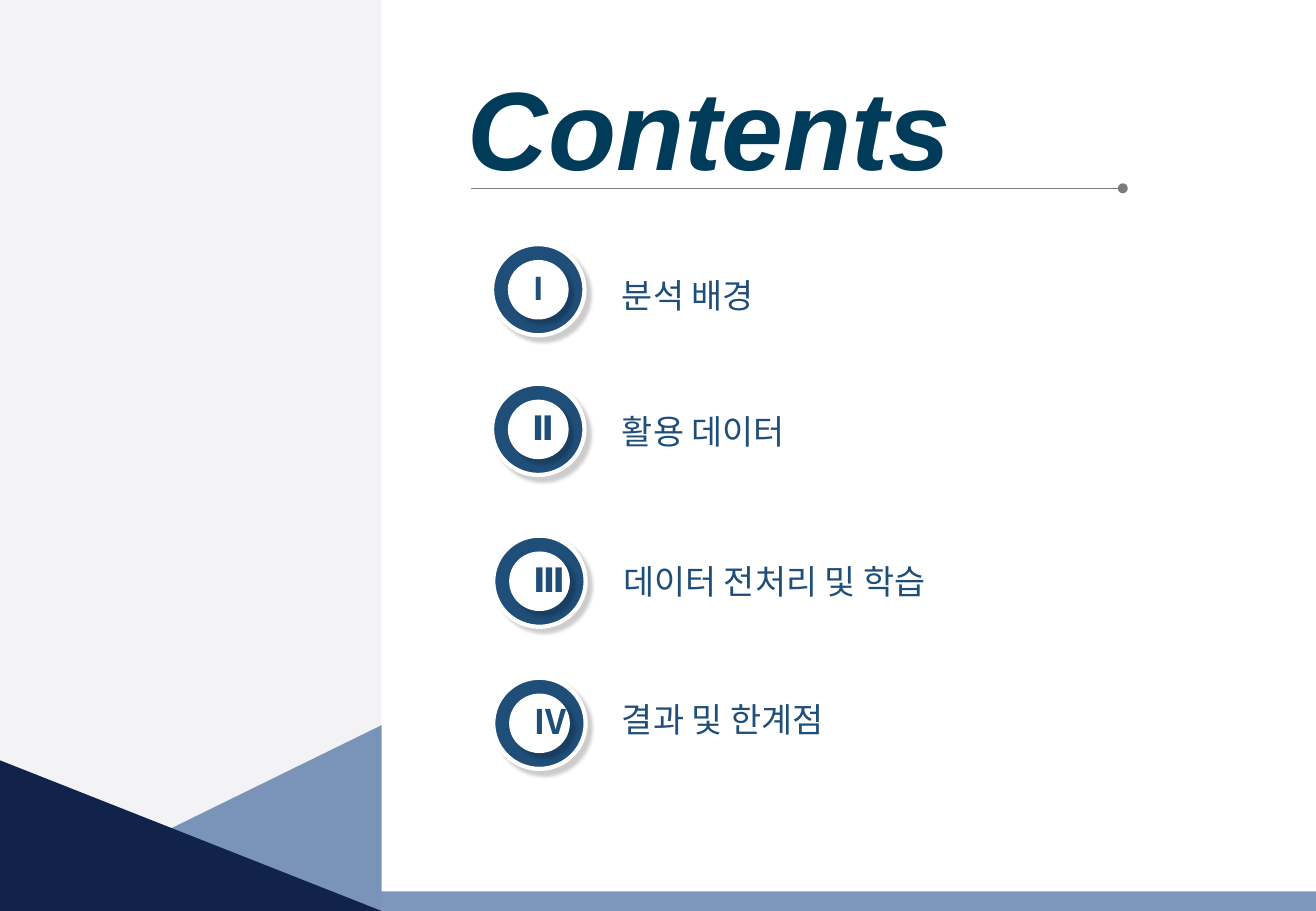
from lxml import etree
from pptx import Presentation
from pptx.dml.color import RGBColor
from pptx.enum.shapes import MSO_CONNECTOR, MSO_SHAPE
from pptx.enum.text import MSO_ANCHOR, PP_ALIGN
from pptx.oxml import parse_xml
from pptx.oxml.ns import nsdecls, qn
from pptx.util import Pt

RECTANGLE = MSO_SHAPE.RECTANGLE
TRIANGLE = MSO_SHAPE.RIGHT_TRIANGLE
OVAL = MSO_SHAPE.OVAL
STRAIGHT = MSO_CONNECTOR.STRAIGHT
LEFT, CENTER = PP_ALIGN.LEFT, PP_ALIGN.CENTER
TOP, MIDDLE = MSO_ANCHOR.TOP, MSO_ANCHOR.MIDDLE

PX = 9144
NAVY = "1F4E79"
WHITE = "FFFFFF"
color = RGBColor.from_string

deck = Presentation()
deck.slide_width, deck.slide_height = 1083 * PX, 750 * PX
page = deck.slides.add_slide(deck.slide_layouts[6])


def add_block(kind, left, top, width, height, fill):
    block = page.shapes.add_shape(kind, left * PX, top * PX, width * PX, height * PX)
    block.shadow.inherit = False
    block.fill.solid()
    block.fill.fore_color.rgb = color(fill)
    block.line.fill.background()
    return block


def add_text(text, left, top, width, height, size=20, ink=NAVY, font="Arial",
             bold=False, italic=False, align=LEFT, anchor=TOP, inset=(10, 5)):
    box = page.shapes.add_textbox(left * PX, top * PX, width * PX, height * PX)
    frame = box.text_frame
    frame.word_wrap = True
    frame.vertical_anchor = anchor
    frame.margin_left = frame.margin_right = inset[0] * PX
    frame.margin_top = frame.margin_bottom = inset[1] * PX
    para = frame.paragraphs[0]
    para.alignment = align
    span = para.add_run()
    span.text = text
    span.font.name = font
    span.font.size = Pt(size)
    span.font.bold = bold
    span.font.italic = italic
    span.font.color.rgb = color(ink)


add_block(RECTANGLE, 0, 0, 314, 750, "F3F3F5")
slope = add_block(TRIANGLE, 276, -56, 531, 1083, "43689F")
slope.rotation = 270
slope_color = slope.fill._xPr.find(qn("a:solidFill"))[0]
etree.SubElement(slope_color, qn("a:alpha"), val="69000")
add_block(RECTANGLE, 314, 33, 770, 701, WHITE)
add_block(TRIANGLE, 0, 626, 314, 124, "11234B")

add_text("Contents", 385, 49, 461, 111, size=66, ink="003B5A",
         bold=True, italic=True, inset=(0, 0))
rule = page.shapes.add_connector(STRAIGHT, 388 * PX, 155 * PX, 924 * PX, 155 * PX)
rule.line.color.rgb = color("7B7B7B")
rule.line.width = Pt(0.75)
etree.SubElement(rule.line._get_or_add_ln(), qn("a:tailEnd"), type="oval")
etree.SubElement(rule._element.spPr, qn("a:effectLst"))

SHADOW = (
    f'<a:outerShdw {nsdecls("a")} blurRad="25400" dist="50800" dir="2700000" '
    'algn="tl" rotWithShape="0"><a:srgbClr val="000000"><a:alpha val="20000"/>'
    '</a:srgbClr></a:outerShdw>'
)
sections = [
    ("I", "Arial", 405, 201, "분석 배경", 502, 205),
    ("Ⅱ", "Arial", 405, 316, "활용 데이터", 502, 317),
    ("Ⅲ", "Arial", 406, 441, "데이터 전처리 및 학습", 503, 441),
    ("Ⅳ", "Noto Sans CJK KR", 406, 558, "결과 및 한계점", 502, 554),
]
for numeral, numeral_font, left, top, heading, heading_left, heading_top in sections:
    ring = add_block(OVAL, left, top, 76, 75, NAVY)
    ring.line.color.rgb = color(WHITE)
    ring.line.width = Pt(2.5)
    disc = add_block(OVAL, left + 13, top + 13, 50, 49, WHITE)
    for circle in (ring, disc):
        circle._element.spPr.find(qn("a:effectLst")).append(parse_xml(SHADOW))
    add_text(numeral, left + 23, top + 14, 30, 44, font=numeral_font,
             bold=True, align=CENTER)
    add_text(heading, heading_left, heading_top, 410, 75, anchor=MIDDLE)

deck.save("out.pptx")
